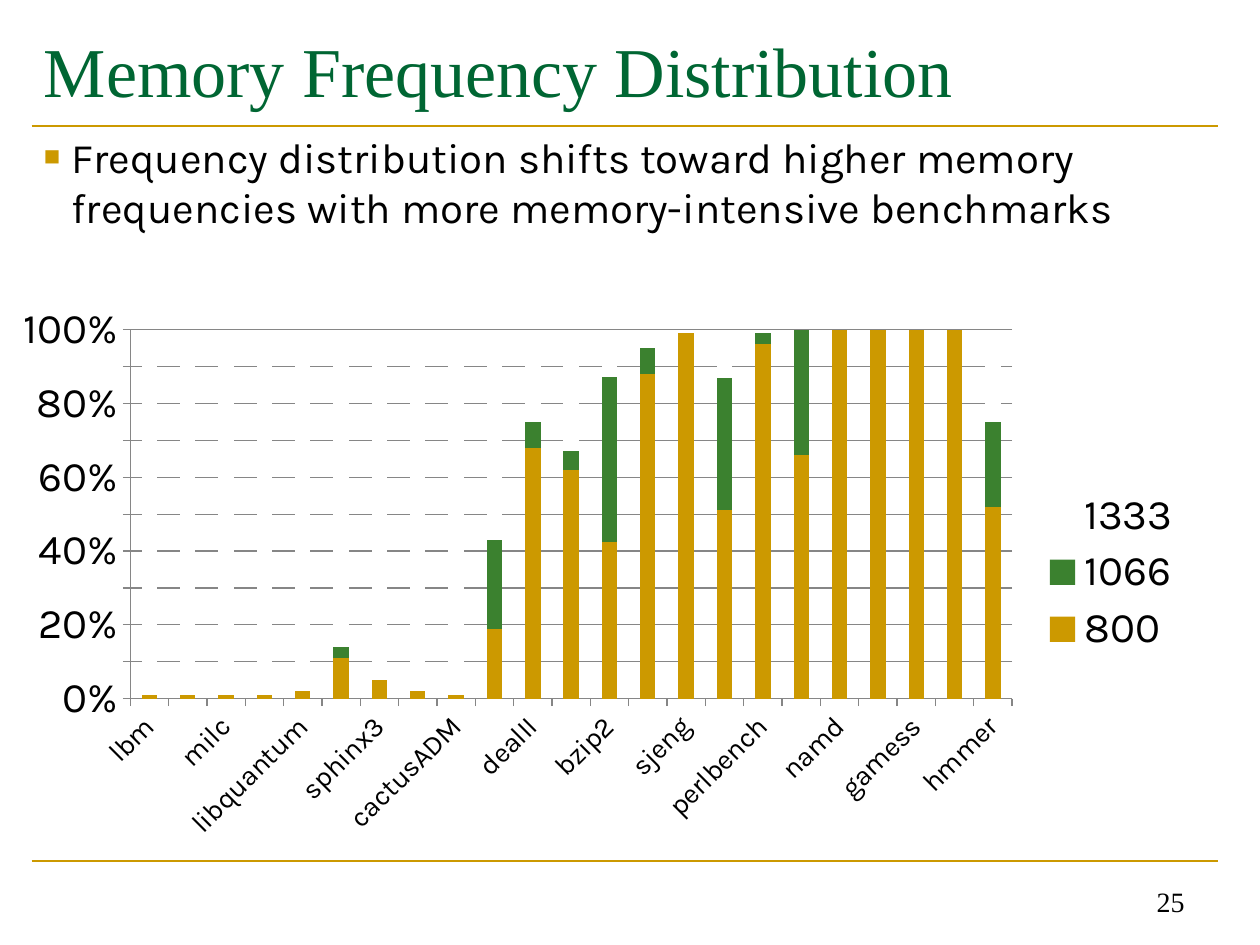
from collections import namedtuple

from lxml import etree
from pptx import Presentation
from pptx.chart.data import CategoryChartData
from pptx.dml.color import RGBColor
from pptx.enum.chart import XL_CHART_TYPE as ChartType
from pptx.enum.chart import XL_LEGEND_POSITION as LegendPosition
from pptx.enum.chart import XL_TICK_MARK as TickMark
from pptx.enum.shapes import MSO_CONNECTOR as Connector
from pptx.enum.text import MSO_ANCHOR as Anchor
from pptx.enum.text import PP_ALIGN as Align
from pptx.oxml import parse_xml
from pptx.oxml.ns import nsdecls, qn
from pptx.util import Inches, Pt

COLUMNS, ROWS = 120, 90
CELL = Inches(10) // COLUMNS
Box = namedtuple("Box", "left top width height")

COLORS = {
    "gold": "CC9900",
    "heading": "006633",
    "green": "3B812F",
    "text": "000000",
    "white": "FFFFFF",
    "axis": "868686",
}
SERIF, SANS = "Times New Roman", "Karla"

SHARES_BY_BENCHMARK = {
    "lbm": (1, 0, 99), "GemsFDTD": (1, 0, 99), "milc": (1, 0, 99),
    "leslie3d": (1, 0, 99), "libquantum": (2, 0, 98), "soplex": (11, 3, 86),
    "sphinx3": (5, 0, 95), "mcf": (2, 0, 98), "cactusADM": (1, 0, 99),
    "gcc": (19, 24, 57), "dealII": (68, 7, 25), "tonto": (62, 5, 33),
    "bzip2": (43, 45, 13), "gobmk": (88, 7, 5), "sjeng": (99, 0, 1),
    "calculix": (51, 36, 13), "perlbench": (96, 3, 1), "h264ref": (66, 34, 0),
    "namd": (100, 0, 0), "gromacs": (100, 0, 0), "gamess": (100, 0, 0),
    "povray": (100, 0, 0), "hmmer": (52, 23, 25),
}
FREQUENCY_COLORS = {"800": "gold", "1066": "green", "1333": "white"}


def color(name):
    return RGBColor.from_string(COLORS[name])


def place(box):
    return [round(CELL * share) for share in box]


def style_font(font, size, family, ink="text"):
    font.size = Pt(size)
    font.name = family
    font.bold = False
    font.color.rgb = color(ink)


def add_text(page, box, text, size, family, ink="text", align=Align.LEFT,
             anchor=Anchor.TOP, bullet=None, indent=0.22):
    frame = page.shapes.add_textbox(*place(box)).text_frame
    frame.word_wrap = True
    frame.vertical_anchor = anchor
    para = frame.paragraphs[0]
    para.text = text
    para.alignment = align
    if bullet:
        properties = para._p.get_or_add_pPr()
        properties.set("marL", str(Inches(indent)))
        properties.set("indent", str(-Inches(indent)))
        for markup in (
            f'<a:buClr {nsdecls("a")}><a:srgbClr val="{COLORS["gold"]}"/></a:buClr>',
            f'<a:buSzPct {nsdecls("a")} val="65000"/>',
            f'<a:buFont {nsdecls("a")} typeface="{SERIF}"/>',
            f'<a:buChar {nsdecls("a")} char="{bullet}"/>',
        ):
            properties.append(parse_xml(markup))
    for span in para.runs:
        style_font(span.font, size, family, ink)


def add_rule(page, box):
    left, top, width, height = place(box)
    rule = page.shapes.add_connector(Connector.STRAIGHT, left, top, left + width, top + height)
    rule.line.color.rgb = color("gold")
    rule.line.width = Pt(1.5)
    etree.SubElement(rule._element.spPr, qn("a:effectLst"))


def build_header(page, box):
    title_box = box._replace(top=box.top - 0.4)
    add_text(page, title_box, "Memory Frequency Distribution", size=40, family=SERIF,
             ink="heading", anchor=Anchor.MIDDLE)
    add_rule(page, Box(box.left, box.top + box.height, box.width, 0))


def build_body(page, box):
    add_text(page, box,
             "Frequency distribution shifts toward higher memory\v"
             "frequencies with more memory-intensive benchmarks",
             size=24, family=SANS, bullet="■")


def build_footer(page, box):
    add_rule(page, Box(box.left, box.top, box.width, 0))
    number_box = Box(box.left + box.width - 30, box.top, 28, box.height)
    add_text(page, number_box, "25", size=16, family=SERIF,
             align=Align.RIGHT, anchor=Anchor.BOTTOM)


def set_plot_layout(chart, box, plot):
    area = chart._chartSpace.chart.plotArea
    for old in area.findall(qn("c:layout")):
        area.remove(old)
    edges = "".join(f'<c:{tag} val="{value}"/>' for tag, value in (
        ("layoutTarget", "inner"), ("xMode", "edge"), ("yMode", "edge"),
        ("x", plot.left / box.width), ("y", plot.top / box.height),
        ("w", plot.width / box.width), ("h", plot.height / box.height)))
    area.insert(0, parse_xml(
        f'<c:layout {nsdecls("c")}><c:manualLayout>{edges}</c:manualLayout></c:layout>'))


def style_axis(axis, size):
    style_font(axis.tick_labels.font, size, SANS)
    axis.major_tick_mark = TickMark.OUTSIDE
    axis.minor_tick_mark = TickMark.NONE
    axis.format.line.color.rgb = color("axis")
    axis.format.line.width = Pt(0.75)


def build_chart(page, box):
    data = CategoryChartData(number_format="0")
    data.categories = list(SHARES_BY_BENCHMARK)
    for frequency, shares in zip(FREQUENCY_COLORS, zip(*SHARES_BY_BENCHMARK.values())):
        data.add_series(frequency, shares)
    chart = page.shapes.add_chart(ChartType.COLUMN_STACKED_100, *place(box), data).chart
    style_font(chart.font, 10, SANS)
    chart.has_title = False
    set_plot_layout(chart, box, Box(12.4, 3.4, 84, 35.15))

    plot = chart.plots[0]
    plot.gap_width, plot.overlap = 150, 100
    plot.vary_by_categories = False
    for series, ink in zip(plot.series, FREQUENCY_COLORS.values()):
        series.format.fill.solid()
        series.format.fill.fore_color.rgb = color(ink)

    style_axis(chart.category_axis, 16)
    chart.category_axis._element.txPr.find(qn("a:bodyPr")).set("rot", "-2700000")
    values = chart.value_axis
    style_axis(values, 24)
    values.minimum_scale, values.maximum_scale, values.major_unit = 0, 1, 0.1
    values.tick_labels.number_format = "0%"
    values.tick_labels.number_format_is_linked = False
    values.has_major_gridlines = True
    values.major_gridlines.format.line.color.rgb = color("axis")
    values.major_gridlines.format.line.width = Pt(0.75)

    chart.has_legend = True
    chart.legend.position = LegendPosition.RIGHT
    chart.legend.include_in_layout = False
    style_font(chart.legend.font, 24, SANS)


def main():
    deck = Presentation()
    deck.slide_width, deck.slide_height = CELL * COLUMNS, CELL * ROWS
    page = deck.slides.add_slide(deck.slide_layouts[6])
    build_header(page, Box(3, 2, 113, 10))
    build_body(page, Box(3, 11.9, 113, 70))
    build_footer(page, Box(3, 82, 113, 6))
    build_chart(page, Box(0, 28, 114, 53))
    deck.save("out.pptx")


if __name__ == "__main__":
    main()
